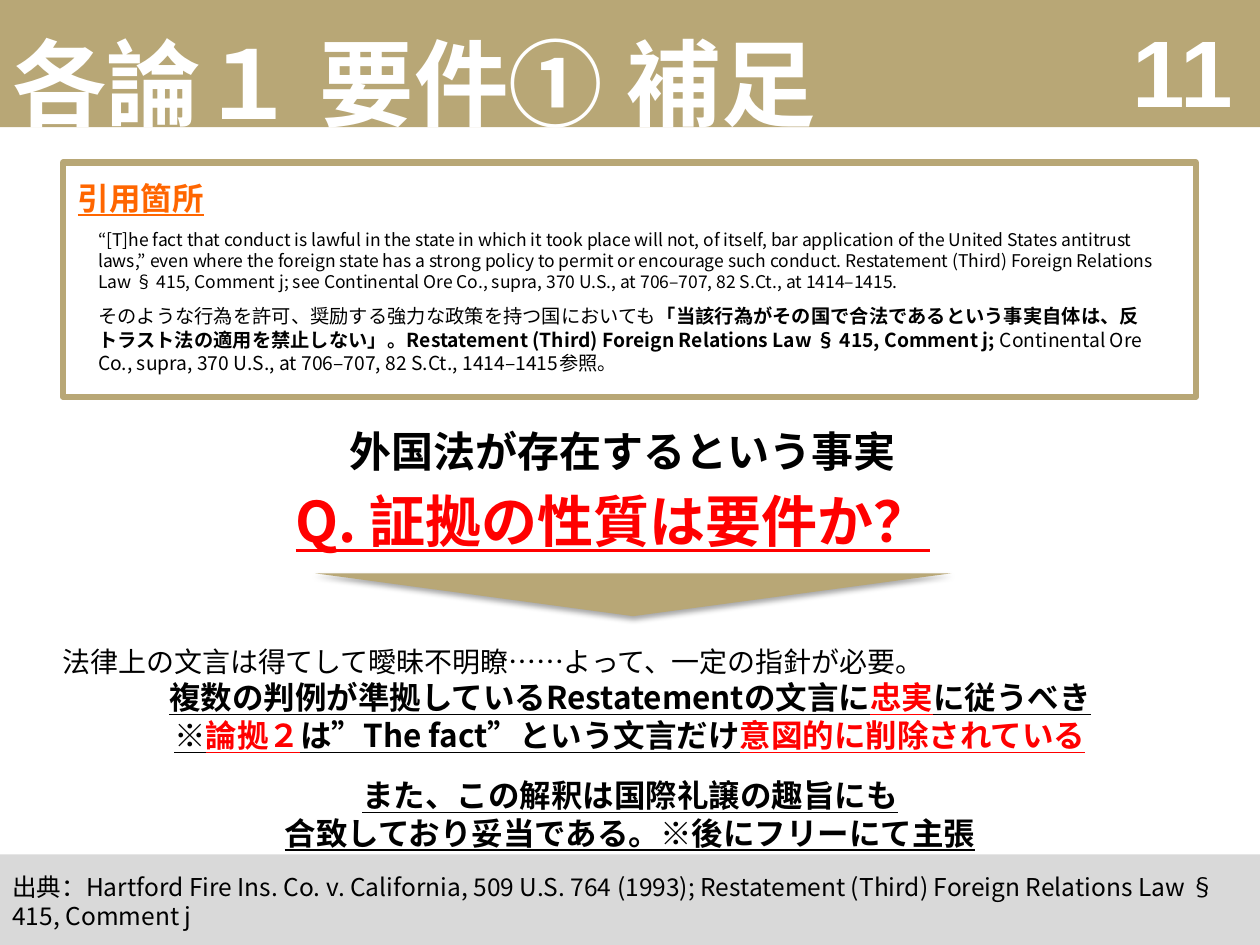
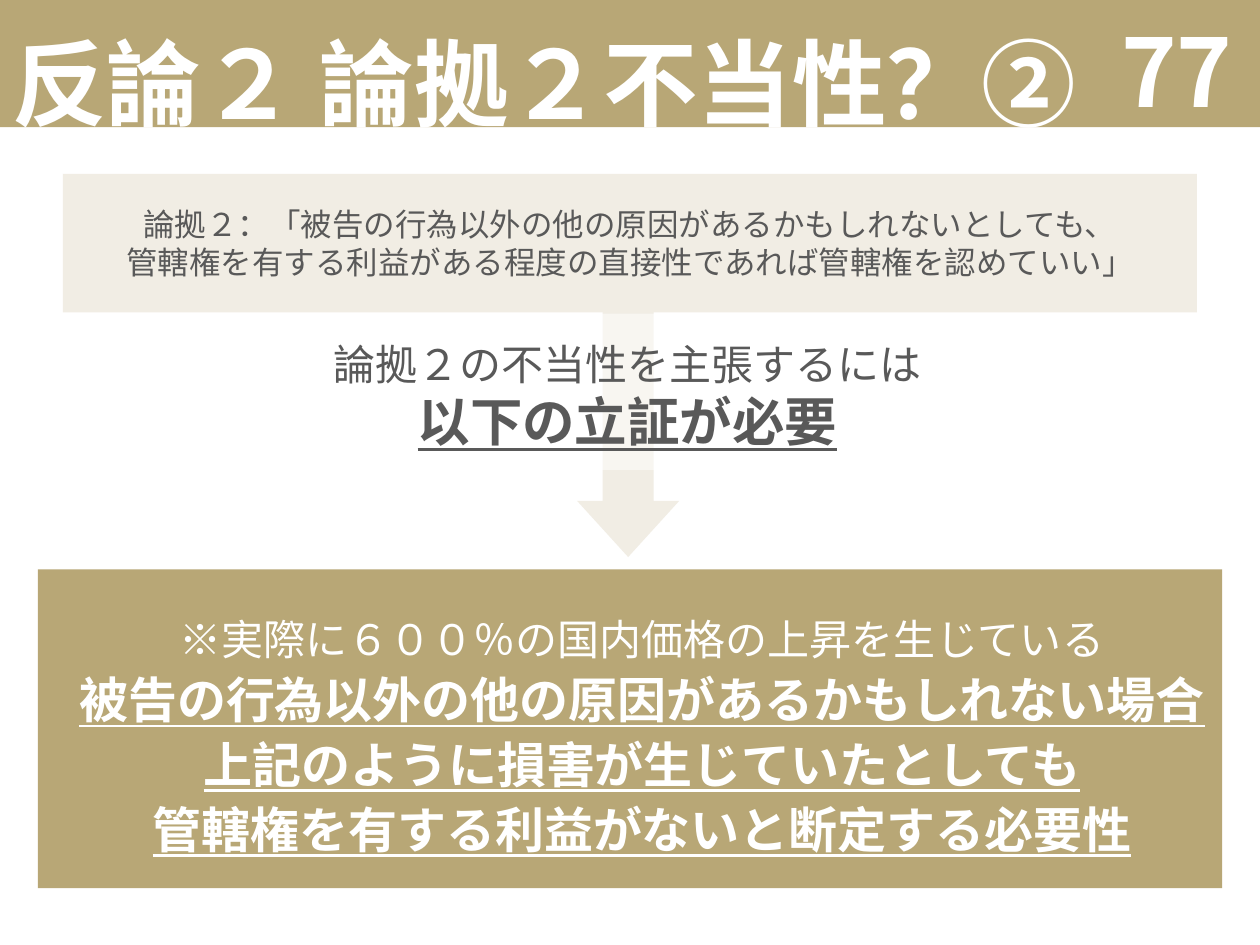
from dataclasses import dataclass
from typing import Optional

import lxml.etree
import pptx
import pptx.dml.color
import pptx.enum.shapes
import pptx.enum.text
import pptx.oxml.ns
import pptx.util

Pt = pptx.util.Pt
RGBColor = pptx.dml.color.RGBColor
Shape = pptx.enum.shapes.MSO_SHAPE
Align = pptx.enum.text.PP_ALIGN
Anchor = pptx.enum.text.MSO_ANCHOR
qn = pptx.oxml.ns.qn

GOLD = RGBColor(0xB8, 0xA7, 0x76)
CREAM = RGBColor(0xF1, 0xED, 0xE4)
SILVER = RGBColor(0xD9, 0xD9, 0xD9)
GRAY = RGBColor(0x59, 0x59, 0x59)
ORANGE = RGBColor(0xFF, 0x66, 0x00)
RED = RGBColor(0xFF, 0x00, 0x00)
BLACK = RGBColor(0x00, 0x00, 0x00)
WHITE = RGBColor(0xFF, 0xFF, 0xFF)

SANS = "Noto Sans CJK JP"
WIDTH, HEIGHT = 720, 540


@dataclass(frozen=True)
class Span:
    text: str
    color: Optional[RGBColor] = None
    size: Optional[float] = None
    bold: Optional[bool] = None
    under: Optional[bool] = None


@dataclass(frozen=True)
class Para:
    spans: tuple[Span, ...]
    size: float
    color: RGBColor = BLACK
    bold: bool = False
    under: bool = False
    align: Align = Align.LEFT
    face: str = SANS
    pitch: Optional[float] = None
    before: float = 0


@dataclass(frozen=True)
class Box:
    at: tuple[float, float, float, float]
    paras: tuple[Para, ...] = ()
    kind: Optional[Shape] = None
    fill: Optional[RGBColor] = None
    alpha: Optional[int] = None
    line: Optional[RGBColor] = None
    turn: float = 0
    adjust: tuple[float, ...] = ()
    anchor: Anchor = Anchor.TOP
    inset: tuple[float, float, float, float] = (7.2, 3.6, 7.2, 3.6)
    wrap: bool = True
    shade: bool = False


def set_font(font, item: Para) -> None:
    font.name = item.face
    font.size = Pt(item.size)
    font.bold = item.bold
    font.underline = item.under
    font.color.rgb = item.color
    latin = font._element.find(qn("a:latin"))
    east = latin.makeelement(qn("a:ea"), {"typeface": item.face})
    latin.addnext(east)


def add_span(para, span: Span) -> None:
    for row, text in enumerate(span.text.split("\n")):
        if row:
            para.add_line_break()
        if not text:
            continue
        run = para.add_run()
        run.text = text
        if span.color is not None:
            run.font.color.rgb = span.color
        if span.size is not None:
            run.font.size = Pt(span.size)
        if span.bold is not None:
            run.font.bold = span.bold
        if span.under is not None:
            run.font.underline = span.under


def add_text(frame, box: Box) -> None:
    frame.word_wrap = box.wrap
    frame.vertical_anchor = box.anchor
    (frame.margin_left, frame.margin_top,
     frame.margin_right, frame.margin_bottom) = map(Pt, box.inset)
    for row, item in enumerate(box.paras):
        para = frame.add_paragraph() if row else frame.paragraphs[0]
        para.alignment = item.align
        if item.pitch:
            para.line_spacing = item.pitch
        if item.before:
            para.space_before = Pt(item.before)
        set_font(para.font, item)
        for span in item.spans:
            add_span(para, span)


def add_shade(shape) -> None:
    effects = shape._element.spPr.find(qn("a:effectLst"))
    shadow = lxml.etree.SubElement(
        effects, qn("a:outerShdw"), blurRad=str(Pt(3.1)), dist=str(Pt(1.8)),
        dir="5400000", rotWithShape="0")
    color = lxml.etree.SubElement(shadow, qn("a:srgbClr"), val=str(BLACK))
    lxml.etree.SubElement(color, qn("a:alpha"), val="35000")


def add_box(slide, box: Box) -> None:
    place = map(Pt, box.at)
    if box.kind is None:
        shape = slide.shapes.add_textbox(*place)
    else:
        shape = slide.shapes.add_shape(box.kind, *place)
        shape.shadow.inherit = False
        shape.rotation = box.turn
        for index, value in enumerate(box.adjust):
            shape.adjustments[index] = value
        if box.fill is None:
            shape.fill.background()
        else:
            shape.fill.solid()
            shape.fill.fore_color.rgb = box.fill
        if box.alpha is not None:
            color = shape._element.spPr.find(qn("a:solidFill"))[0]
            lxml.etree.SubElement(color, qn("a:alpha"), val=str(box.alpha * 1000))
        if box.line is None:
            shape.line.fill.background()
        else:
            shape.line.color.rgb = box.line
            shape.line.width = Pt(3.5)
        if box.shade:
            add_shade(shape)
    if box.paras:
        add_text(shape.text_frame, box)


def plain(text: str, size: float, color: RGBColor = BLACK, **more) -> Para:
    return Para((Span(text),), size, color, **more)


def strong(*spans: Span, before: float = 0) -> Para:
    return Para(spans, 18, bold=True, under=True, align=Align.CENTER, before=before)


def add_page(deck, title: str, number: str, face: str, boxes: tuple[Box, ...]) -> None:
    slide = deck.slides.add_slide(deck.slide_layouts[6])
    head = (
        Box((0, 0, WIDTH, 72.7), kind=Shape.RECTANGLE, fill=GOLD),
        Box((0, 1.4, 796.3, 90), anchor=Anchor.MIDDLE,
            paras=(plain(title, 54, WHITE, bold=True, face="Karla"),)),
        Box((543.6, 25.2, 167.8, 28.8), anchor=Anchor.MIDDLE,
            paras=(plain(number, 54, WHITE, bold=True, face=face, align=Align.RIGHT),)),
    )
    for box in head + boxes:
        add_box(slide, box)


QUOTE = (
    Box((36, 92.9, 647.3, 133.9), kind=Shape.RECTANGLE, line=GOLD),
    Box((37.4, 98.6, 625, 28.8),
        (plain("引用箇所", 18, ORANGE, bold=True, under=True),)),
    Box((79.9, 239.8, 552.2, 36),
        (plain("外国法が存在するという事実", 24, bold=True, align=Align.CENTER),)),
    Box((0, 488.2, WIDTH, 53.3), kind=Shape.RECTANGLE, fill=SILVER, anchor=Anchor.MIDDLE,
        paras=(plain("出典：Hartford Fire Ins. Co. v. California, 509 U.S. 764 (1993); "
                     "Restatement (Third) Foreign Relations Law § 415, Comment j", 14),)),
    Box((49, 127.4, 625.7, 43.9),
        (plain("“[T]he fact that conduct is lawful in the state in which it took place "
               "will not, of itself, bar application of the United States antitrust laws,” "
               "even where the foreign state has a strong policy to permit or encourage "
               "such conduct. Restatement (Third) Foreign Relations Law § 415, "
               "Comment j; see Continental Ore Co., supra, 370 U.S., at 706–707, "
               "82 S.Ct., at 1414–1415.", 10),)),
    Box((157.7, 274.3, 385.2, 46), wrap=False,
        paras=(plain("Q. 証拠の性質は要件か？", 32, RED, bold=True, under=True,
                     align=Align.CENTER),)),
    Box((180, 327.6, 363.6, 24.5), kind=Shape.ISOSCELES_TRIANGLE, fill=GOLD,
        turn=180, shade=True),
    Box((28.8, 365, 662.4, 131.8), (
        plain("法律上の文言は得てして曖昧不明瞭……よって、一定の指針が必要。", 16),
        strong(Span("複数の判例が準拠しているRestatementの文言に"),
               Span("忠実", RED),
               Span("に従うべき\n※"),
               Span("論拠２", RED),
               Span("は”The fact”という文言だけ"),
               Span("意図的に削除されている", RED)),
        strong(Span("また、この解釈は国際礼譲の趣旨にも"), before=12.6),
        strong(Span("合致しており妥当である。※後にフリーにて主張")),
    )),
    Box((49, 170.6, 613.4, 47.5), (Para((
        Span("そのような行為を許可、奨励する強力な政策を持つ国においても"),
        Span("「当該行為がその国で合法であるという事実自体は、反トラスト法の適用を禁止しない」。"
             "Restatement (Third) Foreign Relations Law § 415, Comment j; ", bold=True),
        Span("Continental Ore Co., supra, 370 U.S., at 706–707, 82 S.Ct., 1414–1415参照。"),
    ), 11),)),
)

PROOF = (
    Box((21.6, 325.4, 676.8, 182.2), kind=Shape.RECTANGLE, fill=GOLD,
        inset=(22.3, 22.3, 8.6, 8.6), paras=(Para((
            Span("※実際に６００％の国内価格の上昇を生じている\n"),
            Span("被告の行為以外の他の原因があるかもしれない場合\n"
                 "上記のように損害が生じていたとしても\n"
                 "管轄権を有する利益がないと断定する必要性", size=28, bold=True, under=True),
        ), 24, WHITE, align=Align.CENTER, pitch=1.1),)),
    Box((329.8, 150.5, 58.3, 167.8), kind=Shape.UP_ARROW, fill=CREAM, turn=180,
        adjust=(0.5, 0.55)),
    Box((34.6, 179.3, 648, 89.3), kind=Shape.RECTANGLE, fill=WHITE, alpha=50,
        inset=(7.2, 14.4, 7.2, 14.4), paras=(Para((
            Span("論拠２の不当性を主張するには\n"),
            Span("以下の立証が必要", size=30, bold=True, under=True),
        ), 24, GRAY, align=Align.CENTER),)),
    Box((36, 99.4, 648, 79.2), kind=Shape.RECTANGLE, fill=CREAM, anchor=Anchor.MIDDLE,
        inset=(14.4, 3.6, 14.4, 3.6), paras=(plain(
            "論拠２：「被告の行為以外の他の原因があるかもしれないとしても、\n"
            "管轄権を有する利益がある程度の直接性であれば管轄権を認めていい」",
            18, GRAY, align=Align.CENTER),)),
)


def main() -> None:
    deck = pptx.Presentation()
    deck.slide_width, deck.slide_height = Pt(WIDTH), Pt(HEIGHT)
    add_page(deck, "各論１ 要件① 補足", "11", "Arial", QUOTE)
    add_page(deck, "反論２ 論拠２不当性？②", "77", SANS, PROOF)
    deck.save("out.pptx")


if __name__ == "__main__":
    main()
